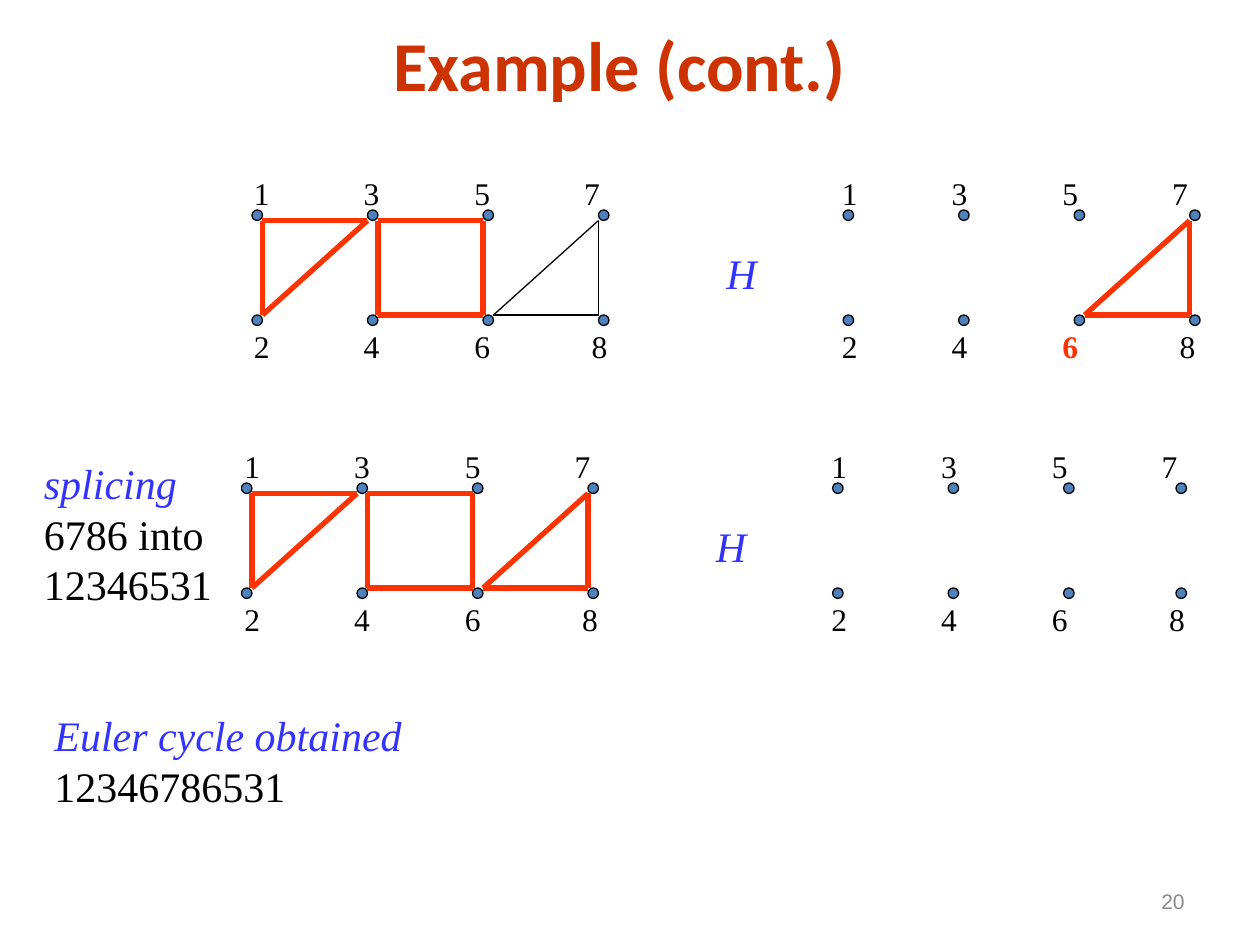
from dataclasses import dataclass
from typing import NamedTuple

from lxml import etree
from pptx import Presentation
from pptx.dml.color import RGBColor
from pptx.enum.shapes import MSO_CONNECTOR, MSO_SHAPE
from pptx.enum.text import MSO_ANCHOR, PP_ALIGN
from pptx.oxml.ns import qn
from pptx.util import Emu, Inches, Pt

LINE, DOT = MSO_CONNECTOR.STRAIGHT, MSO_SHAPE.OVAL
TOP, MIDDLE = MSO_ANCHOR.TOP, MSO_ANCHOR.MIDDLE
LEFT, CENTER, RIGHT = PP_ALIGN.LEFT, PP_ALIGN.CENTER, PP_ALIGN.RIGHT

BLACK = RGBColor(0x00, 0x00, 0x00)
RED = RGBColor(0xFF, 0x33, 0x00)
BLUE = RGBColor(0x33, 0x33, 0xFF)
DOT_BLUE = RGBColor(0x4F, 0x81, 0xBD)
TITLE_RED = RGBColor(0xCC, 0x33, 0x00)
GRAY = RGBColor(0x89, 0x89, 0x89)
SERIF = "Times New Roman"

# Grid of 120 columns by 90 rows; a dot fills one square
UNIT = Inches(1) / 12
COL_STEP, ROW_STEP = 11, 10
LABEL_TABS = ((0.87, 1.75, 2.62), (0.87, 1.75, 2.68))  # upper, lower row
LABEL_GAP = Pt(66)

# Edges of a cell between two dot columns: corner to corner (column, row)
EDGES = {
    "top": ((0, 0), (1, 0)),
    "bottom": ((0, 1), (1, 1)),
    "left": ((0, 0), (0, 1)),
    "right": ((1, 0), (1, 1)),
    "diagonal": ((1, 0), (0, 1)),
}
LEFT_TRIANGLE = ("top", "left", "diagonal")
SQUARE = ("top", "bottom", "left", "right")
RIGHT_TRIANGLE = ("bottom", "right", "diagonal")


class Span(NamedTuple):
    text: str
    size: float = 24
    color: RGBColor = BLACK
    bold: bool = False
    italic: bool = False
    font: str = SERIF


class Cell(NamedTuple):
    index: int
    edges: tuple
    color: RGBColor = RED
    width: float = 3


@dataclass
class Graph:
    col: float
    row: float
    label_col: float
    cells: tuple = ()
    marked: str = ""
    last_shift: float = 0


@dataclass
class Note:
    box: tuple  # column, row, columns, rows
    lines: tuple
    align: PP_ALIGN = LEFT
    anchor: MSO_ANCHOR = TOP
    wrap: bool = True


VISITED = (Cell(0, LEFT_TRIANGLE), Cell(1, SQUARE))
LAST = Cell(2, RIGHT_TRIANGLE)

GRAPHS = (
    Graph(24, 20, 23, VISITED + (Cell(2, RIGHT_TRIANGLE, BLACK, 0.75),)),
    Graph(80.3, 20, 79, (LAST,), marked="6"),
    Graph(23, 46, 22.1, VISITED + (LAST,)),
    Graph(79.3, 46, 78, last_shift=-0.3),
)

H = (Span("H", color=BLUE, italic=True),)
NOTES = (
    Note((0, 1.4, 118, 9.3),
         ((Span("Example (cont.)", 40, TITLE_RED, True, font="Calibri"),),),
         CENTER, MIDDLE),
    Note((68, 23, 5.3, 6), (H,), wrap=False),
    Note((67, 49, 5.3, 6), (H,), wrap=False),
    Note((3, 43, 19, 15.6),
         ((Span("splicing", color=BLUE, italic=True),),
          (Span("6786 into"),), (Span("12346531"),))),
    Note((4, 67, 40, 10.8),
         ((Span("Euler cycle obtained", color=BLUE, italic=True),),
          (Span("12346786531"),))),
    Note((86, 83.4, 28, 4.8), ((Span("20", 12, GRAY, font="Arial"),),),
         RIGHT, MIDDLE),
)


def u(n: float) -> Emu:
    return Emu(round(n * UNIT))


def add_note(s, note: Note):
    """Add a text box run by run and return its text frame."""
    tf = s.shapes.add_textbox(*map(u, note.box)).text_frame
    tf.word_wrap = note.wrap
    tf.vertical_anchor = note.anchor
    for i, spans in enumerate(note.lines):
        p = tf.add_paragraph() if i else tf.paragraphs[0]
        p.alignment = note.align
        for span in spans:
            r = p.add_run()
            r.text = span.text
            r.font.name, r.font.size = span.font, Pt(span.size)
            r.font.bold, r.font.italic = span.bold, span.italic
            r.font.color.rgb = span.color
    return tf


def add_dot(s, col: float, row: float) -> None:
    sp = s.shapes.add_shape(DOT, u(col), u(row), u(1), u(1))
    sp.shadow.inherit = False
    sp.fill.solid()
    sp.fill.fore_color.rgb = DOT_BLUE
    sp.line.color.rgb = BLACK
    sp.line.width = Pt(0.75)


def add_edge(s, graph: Graph, cell: Cell, edge: str) -> None:
    """Join the inner corners of the dots around a cell."""
    ends = []
    for c, r in EDGES[edge]:
        ends.append(u(graph.col + COL_STEP * cell.index + (COL_STEP if c else 1)))
        ends.append(u(graph.row + (ROW_STEP if r else 1)))
    line = s.shapes.add_connector(LINE, *ends)
    line.line.color.rgb = cell.color
    line.line.width = Pt(cell.width)
    etree.SubElement(line._element.spPr, qn("a:effectLst"))


def add_labels(s, graph: Graph) -> None:
    """Number the dots: odd above, even below, set on tab stops."""
    lines = []
    for numbers in ("1357", "2468"):
        spans = []
        for i, n in enumerate(numbers):
            hit = n == graph.marked
            spans.append(Span(("\t" if i else "") + n, 18, RED if hit else BLACK, hit))
        lines.append(tuple(spans))
    box = (graph.label_col, graph.row - 4, 38, 19.2)
    tf = add_note(s, Note(box, tuple(lines)))
    tf.paragraphs[1].space_before = LABEL_GAP
    for p, stops in zip(tf.paragraphs, LABEL_TABS):
        tabs = etree.SubElement(p._p.get_or_add_pPr(), qn("a:tabLst"))
        for stop in stops:
            etree.SubElement(tabs, qn("a:tab"), pos=str(Inches(stop)), algn="l")


def add_graph(s, graph: Graph) -> None:
    for row in range(2):
        for col in range(4):
            shift = graph.last_shift if col == 3 else 0
            add_dot(s, graph.col + COL_STEP * col + shift, graph.row + ROW_STEP * row)
    for cell in graph.cells:
        for edge in cell.edges:
            add_edge(s, graph, cell, edge)
    add_labels(s, graph)


def main() -> None:
    prs = Presentation()
    prs.slide_width, prs.slide_height = u(120), u(90)
    s = prs.slides.add_slide(prs.slide_layouts[6])
    for graph in GRAPHS:
        add_graph(s, graph)
    for note in NOTES:
        add_note(s, note)
    prs.save("out.pptx")


if __name__ == "__main__":
    main()
